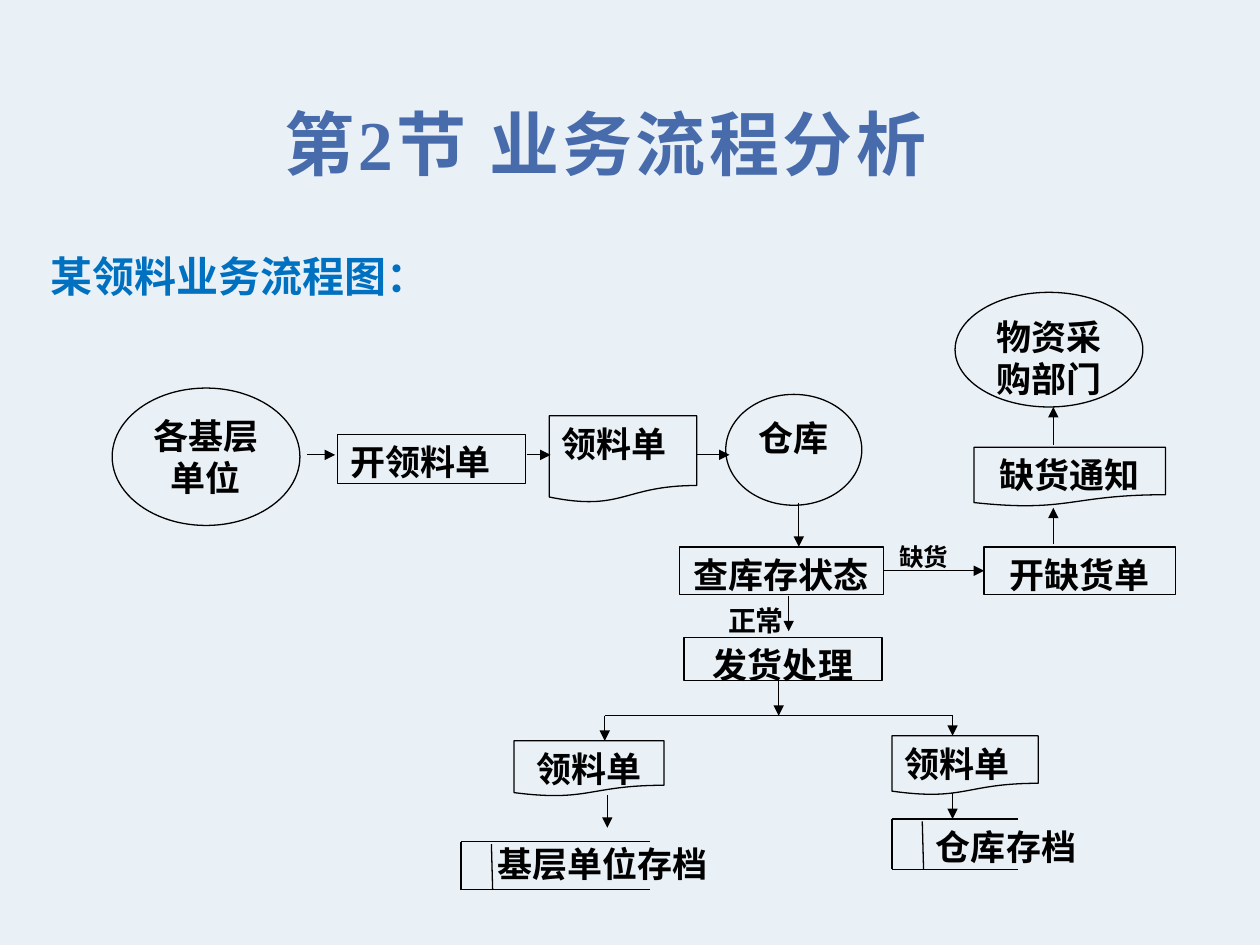
"""Build the slide showing the business flow for requisitioning materials."""
from lxml import etree
from pptx import Presentation
from pptx.dml.color import RGBColor
from pptx.enum.shapes import MSO_CONNECTOR, MSO_SHAPE
from pptx.enum.text import MSO_ANCHOR, MSO_AUTO_SIZE, PP_ALIGN
from pptx.oxml.ns import qn
from pptx.util import Inches, Pt

ELLIPSE, RECTANGLE = MSO_SHAPE.OVAL, MSO_SHAPE.RECTANGLE
DOCUMENT = MSO_SHAPE.FLOWCHART_DOCUMENT
CENTER, JUSTIFY, LEFT = PP_ALIGN.CENTER, PP_ALIGN.JUSTIFY, PP_ALIGN.LEFT
TOP, MIDDLE = MSO_ANCHOR.TOP, MSO_ANCHOR.MIDDLE
NO_AUTOFIT = MSO_AUTO_SIZE.NONE
STRAIGHT = MSO_CONNECTOR.STRAIGHT

BACKGROUND = RGBColor(0xEA, 0xF1, 0xF6)
TITLE_BLUE = RGBColor(0x47, 0x6B, 0xAB)
HEADING_BLUE = RGBColor(0x00, 0x70, 0xC0)
BLACK = RGBColor(0x00, 0x00, 0x00)
FONT = "Times New Roman"


def write(box, text, size, color, align, anchor=TOP):
    frame = box.text_frame
    frame.word_wrap = True
    frame.auto_size = NO_AUTOFIT
    frame.vertical_anchor = anchor
    para = frame.paragraphs[0]
    para.alignment = align
    span = para.add_run()
    span.text = text
    span.font.name = FONT
    span.font.size = Pt(size)
    span.font.bold = True
    span.font.color.rgb = color
    return span


def draw_line(page, start_x, start_y, end_x, end_y, arrow=False):
    line = page.shapes.add_connector(
        STRAIGHT, Inches(start_x), Inches(start_y), Inches(end_x), Inches(end_y))
    line.line.color.rgb = BLACK
    line.line.width = Pt(0.75)
    if arrow:
        etree.SubElement(line.line._get_or_add_ln(), qn("a:tailEnd"), type="triangle")
    etree.SubElement(line._element.spPr, qn("a:effectLst"))
    return line


deck = Presentation()
deck.slide_width, deck.slide_height = Inches(10), Inches(7.5)
page = deck.slides.add_slide(deck.slide_layouts[5])
page.background.fill.solid()
page.background.fill.fore_color.rgb = BACKGROUND

title = page.shapes.title
title.left, title.top = Inches(1.75), Inches(0.83)
title.width, title.height = Inches(6.11), Inches(0.61)
title_span = write(title, "第2节 业务流程分析", 40, TITLE_BLUE, CENTER, MIDDLE)
title_span.font._element.set("spc", "200")

steps = [
    (ELLIPSE, "各基层单位", 0.89, 3.08, 1.49, 1.09, CENTER, 0.06),
    (RECTANGLE, "开领料单", 2.68, 3.45, 1.49, 0.39, JUSTIFY, 0.1),
    (DOCUMENT, "领料单", 4.36, 3.3, 1.17, 0.69, JUSTIFY, 0.1),
    (ELLIPSE, "仓库", 5.76, 3.13, 1.08, 0.88, JUSTIFY, 0.1),
    (RECTANGLE, "查库存状态", 5.39, 4.34, 1.62, 0.38, CENTER, 0.1),
    (RECTANGLE, "开缺货单", 7.81, 4.34, 1.52, 0.38, CENTER, 0.1),
    (DOCUMENT, "缺货通知", 7.73, 3.55, 1.52, 0.47, CENTER, 0.1),
    (ELLIPSE, "物资采购部门", 7.58, 2.32, 1.49, 0.91, CENTER, 0.06),
    (RECTANGLE, "发货处理", 5.43, 5.06, 1.57, 0.34, CENTER, 0.1),
    (DOCUMENT, "领料单", 4.08, 5.88, 1.19, 0.44, CENTER, 0.1),
    (DOCUMENT, "领料单", 7.08, 5.84, 1.16, 0.47, JUSTIFY, 0.1),
]
step_shapes = {}
for kind, text, left, top, width, height, align, margin in steps:
    step = page.shapes.add_shape(
        kind, Inches(left), Inches(top), Inches(width), Inches(height))
    step.shadow.inherit = False
    step.fill.background()
    step.line.color.rgb = BLACK
    step.line.width = Pt(0.75)
    step.text_frame.margin_left = step.text_frame.margin_right = Inches(margin)
    write(step, text, 20, BLACK, align)
    step_shapes[text] = step

labels = [
    ("某领料业务流程图：", 0.3, 1.94, 3.5, 0.5, 24, HEADING_BLUE, LEFT),
    ("正常", 5.68, 4.74, 1.04, 0.38, 16, BLACK, JUSTIFY),
    ("缺货", 7.04, 4.25, 0.8, 0.29, 14, BLACK, JUSTIFY),
    ("基层单位存档", 3.66, 6.64, 2.25, 0.3, 20, BLACK, CENTER),
    ("仓库存档", 7.33, 6.5, 1.41, 0.27, 20, BLACK, JUSTIFY),
]
for text, left, top, width, height, size, color, align in labels:
    label = page.shapes.add_textbox(
        Inches(left), Inches(top), Inches(width), Inches(height))
    write(label, text, size, color, align)

for start_x, end_x in [(2.44, 2.66), (4.18, 4.37), (5.53, 5.79)]:
    draw_line(page, start_x, 3.61, end_x, 3.61, arrow=True)

vertical_arrows = [
    (6.34, 3.99, 4.34), (6.26, 4.73, 5.01), (6.18, 5.4, 5.68),
    (8.36, 4.32, 4.03), (8.36, 3.53, 3.23),
    (4.8, 5.68, 5.88), (7.56, 5.68, 5.84),
    (4.82, 6.31, 6.57), (7.56, 6.29, 6.5),
]
for x, start_y, end_y in vertical_arrows:
    draw_line(page, x, start_y, x, end_y, arrow=True)
draw_line(page, 4.8, 5.68, 7.56, 5.68)

shortage_arrow = draw_line(page, 7.01, 4.53, 7.81, 4.53, arrow=True)
shortage_arrow.begin_connect(step_shapes["查库存状态"], 3)
shortage_arrow.end_connect(step_shapes["开缺货单"], 1)

for left, top, width, height in [(3.66, 6.68, 1.5, 0.38), (7.08, 6.5, 1, 0.4)]:
    bottom = top + height
    draw_line(page, left, top, left, bottom)
    draw_line(page, left, top, left + width, top)
    draw_line(page, left, bottom, left + width, bottom)
    draw_line(page, left + 0.24, top + 0.02, left + 0.25, bottom)

deck.save("out.pptx")
